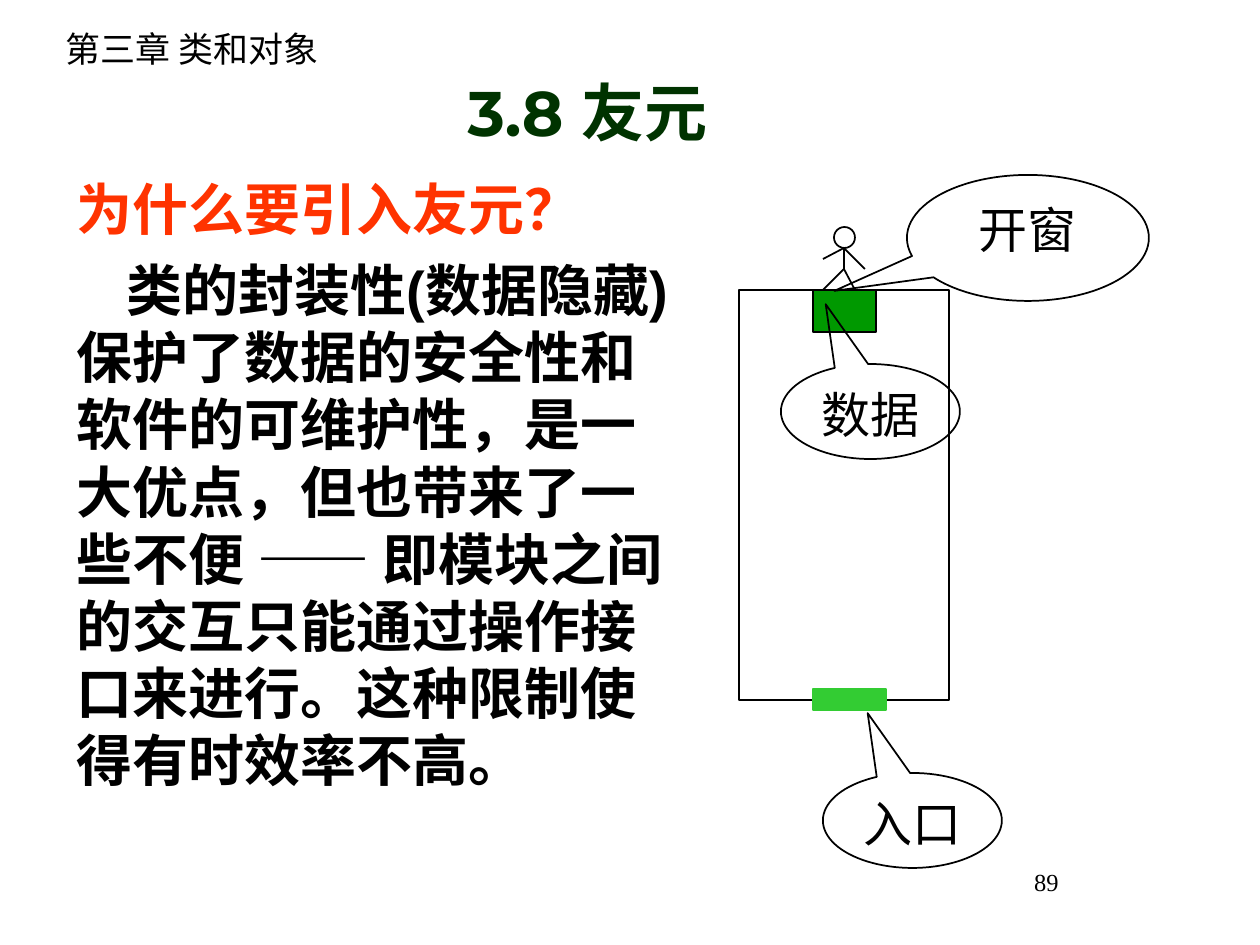
from pptx import Presentation
from pptx.dml.color import RGBColor
from pptx.enum.lang import MSO_LANGUAGE_ID as LANG
from pptx.enum.shapes import MSO_CONNECTOR, MSO_SHAPE as SHAPE
from pptx.enum.text import MSO_ANCHOR as ANCHOR, PP_ALIGN as ALIGN
from pptx.oxml.ns import qn
from pptx.util import Emu, Pt
from lxml import etree

PX = 914400 // 126  # EMU per pixel
BLACK = "000000"
SERIF = "Times New Roman"


def px(*values):
    return [Emu(v * PX) for v in values]


def color(hex_string):
    return RGBColor.from_string(hex_string)


class SlideBuilder:
    line_width = Pt(1)
    leading = 1.2  # line pitch relative to the font size

    def __init__(self, slide):
        self.slide = slide

    def fill_text(self, tf, paragraphs, size, bold=False, align=ALIGN.LEFT,
                  anchor=ANCHOR.TOP, wrap=True, before=0):
        """Each paragraph is (first-line indent, [(text, font, color), ...])."""
        for name, value in {"word_wrap": wrap, "vertical_anchor": anchor}.items():
            setattr(tf, name, value)
        for i, (indent, runs) in enumerate(paragraphs):
            p = tf.add_paragraph() if i else tf.paragraphs[0]
            formats = {"alignment": align, "space_before": Pt(before),
                       "line_spacing": Pt(round(size * self.leading, 1))}
            for name, value in formats.items():
                setattr(p, name, value)
            if indent:
                p._p.get_or_add_pPr().set("indent", str(indent * PX))
            for text, font, hex_string in runs:
                r = p.add_run()
                r.text = text
                r.font.color.rgb = color(hex_string)
                style = {"name": font, "size": Pt(size), "bold": bold,
                         "language_id": LANG.SIMPLIFIED_CHINESE}
                for name, value in style.items():
                    setattr(r.font, name, value)

    def text(self, box, paragraphs, size, **options):
        s = self.slide.shapes.add_textbox(*px(*box))
        self.fill_text(s.text_frame, paragraphs, size, **options)

    def shape(self, kind, box, fill=None, line=BLACK):
        s = self.slide.shapes.add_shape(kind, *px(*box))
        s.shadow.inherit = False
        if fill:
            s.fill.solid()
            s.fill.fore_color.rgb = color(fill)
        else:
            s.fill.background()
        s.line.color.rgb = color(line)
        s.line.width = self.line_width
        return s

    def callout(self, box, label, tail):
        s = self.shape(SHAPE.OVAL_CALLOUT, box)
        for i, value in enumerate(tail):
            s.adjustments[i] = value
        self.fill_text(s.text_frame, [(0, [(label, SERIF, BLACK)])], 28,
                       align=ALIGN.CENTER, wrap=False)

    def line(self, start, end):
        c = self.slide.shapes.add_connector(MSO_CONNECTOR.STRAIGHT, *px(*start, *end))
        c.line.color.rgb = color(BLACK)
        c.line.width = self.line_width
        etree.SubElement(c._element.spPr, qn("a:effectLst"))


def main():
    prs = Presentation()
    prs.slide_width, prs.slide_height = px(1260, 945)
    b = SlideBuilder(prs.slides.add_slide(prs.slide_layouts[6]))

    # Chapter, page number and title
    b.text((53, 21, 599, 55),
           [(0, [("第三章 类和对象", "Noto Sans CJK SC", BLACK)])], 20)
    b.text((861, 861, 210, 63), [(0, [("89", SERIF, BLACK)])], 14, align=ALIGN.RIGHT)
    b.text((73, 67, 1029, 88), [(0, [("3.8 友元", "Montserrat", "003300")])], 36,
           bold=True, align=ALIGN.CENTER, anchor=ANCHOR.BOTTOM)

    # Question and explanation
    b.text((64, 168, 625, 721), [
        (0, [("为什么要引入友元？", "Arial", "FF3300")]),
        (50, [("类的封装性(数据隐藏)保护了数据的安全性和软件的可维护性，"
               "是一大优点，但也带来了一些不便 ", "Arial", BLACK),
              ("——", SERIF, BLACK),
              (" 即模块之间的交互只能通过操作接口来进行。"
               "这种限制使得有时效率不高。", "Arial", BLACK)]),
    ], 32, bold=True, before=8)

    # Room with its window and entrance
    b.shape(SHAPE.RECTANGLE, (739, 290, 210, 410))
    b.shape(SHAPE.RECTANGLE, (813, 290, 63, 42), fill="009900")
    b.shape(SHAPE.RECTANGLE, (813, 689, 73, 21), fill="33CC33", line="33CC33")

    # Callouts
    b.callout((907, 175, 242, 126), "开窗", (-0.8, 0.42))
    down_tail = (-0.25, -1.13)
    b.callout((823, 773, 179, 95), "入口", down_tail)
    b.callout((781, 364, 179, 95), "数据", down_tail)

    # Stick figure
    neck, hip = (844, 248), (844, 269)
    b.shape(SHAPE.OVAL, (834, 227, 21, 21))
    limbs = [(neck, hip), (hip, (823, 290)), (hip, (855, 290)),
             (neck, (823, 259)), (neck, (865, 269))]
    for start, end in limbs:
        b.line(start, end)

    prs.save("out.pptx")


if __name__ == "__main__":
    main()
